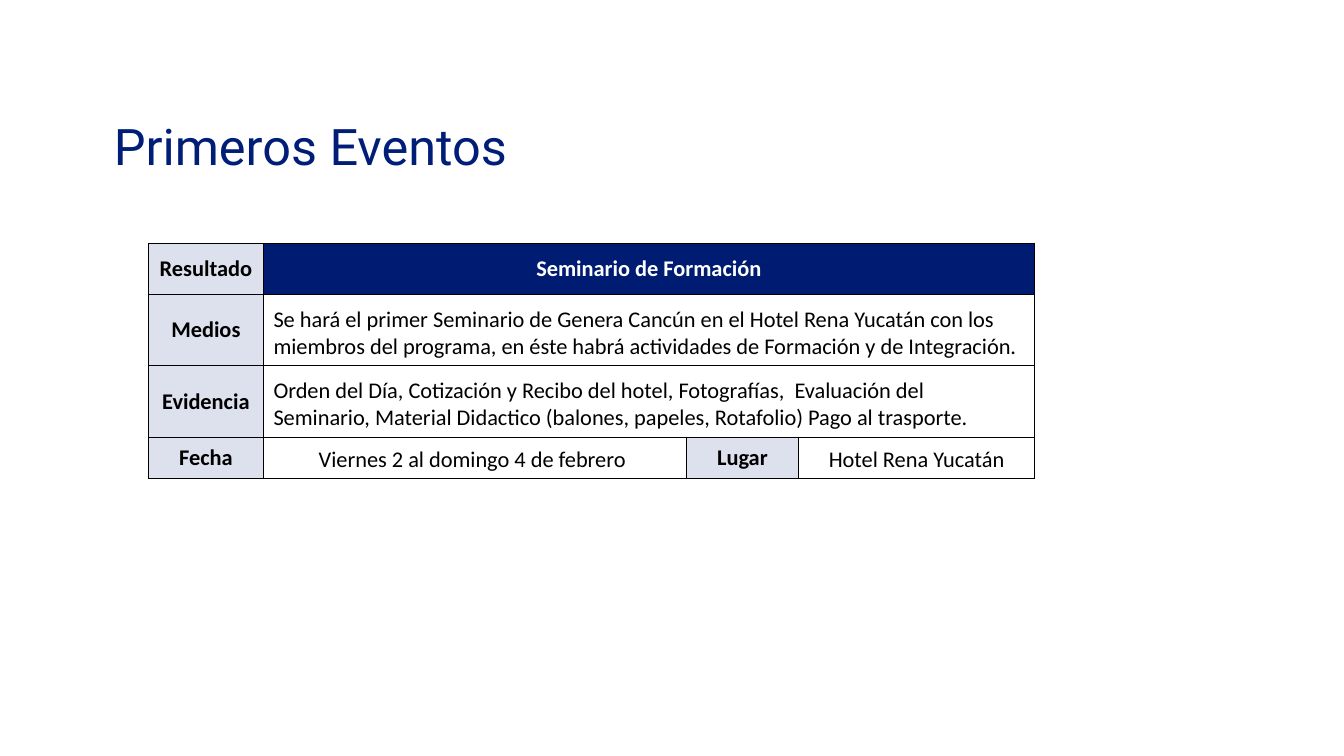
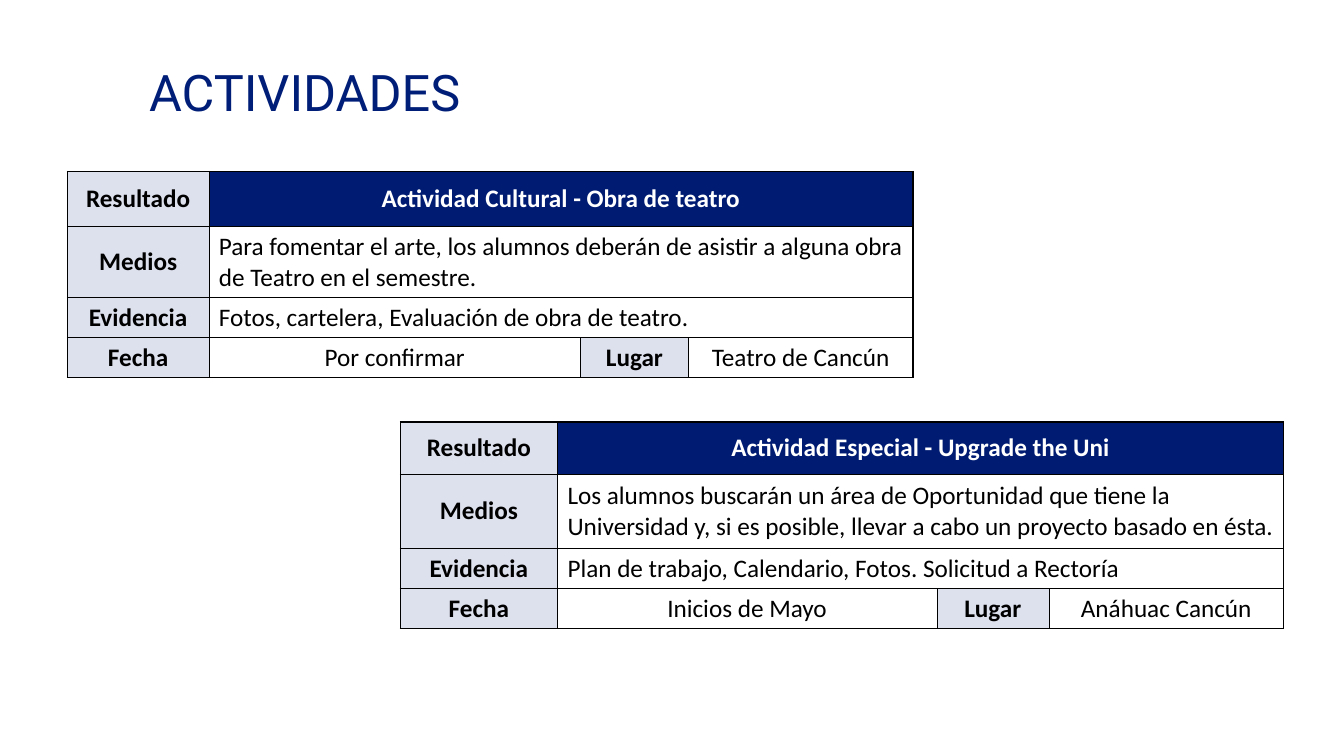
from lxml.etree import SubElement
from pptx import Presentation
from pptx.dml.color import RGBColor
from pptx.enum.text import MSO_ANCHOR as Anchor, PP_ALIGN as Align
from pptx.oxml.ns import qn
from pptx.util import Pt

TITLE_BLUE = RGBColor(0x00, 0x1E, 0x78)
HEADER_BLUE = RGBColor(0x00, 0x1C, 0x72)
LABEL_FILL = RGBColor(0xDD, 0xE0, 0xED)
WHITE = RGBColor(0xFF, 0xFF, 0xFF)
BLACK = RGBColor(0x00, 0x00, 0x00)
TITLE_FONT, TABLE_FONT = "Roboto", "Calibri"
OUTER, INNER = Pt(1), Pt(0.5)

# Content: each event is a card-like table
SLIDES = [
    dict(title="Primeros Eventos", title_box=(74.2, 78.5, 359.3, 51.1), events=[
        dict(resultado="Seminario de Formación",
             medios="Se hará el primer Seminario de Genera Cancún en el Hotel Rena Yucatán "
                    "con los miembros del programa, en éste habrá actividades de Formación "
                    "y de Integración.",
             evidencia="Orden del Día, Cotización y Recibo del hotel, Fotografías,  Evaluación "
                       "del Seminario, Material Didactico (balones, papeles, Rotafolio) "
                       "Pago al trasporte.",
             fecha="Viernes 2 al domingo 4 de febrero ", lugar="Hotel Rena Yucatán",
             at=(106, 173.7), cols=(82.2, 302, 80.4, 168.4),
             rows=(36.5, 51, 51, 29.5), size=16, anchor=Anchor.BOTTOM),
    ]),
    dict(title="ACTIVIDADES", title_box=(99.4, 40.3, 294.5, 51.1), events=[
        dict(resultado="Actividad Cultural - Obra de teatro",
             medios="Para fomentar el arte, los alumnos deberán de asistir a alguna obra "
                    "de Teatro en el semestre.",
             evidencia="Fotos, cartelera, Evaluación de obra de teatro.",
             fecha="Por confirmar", lugar="Teatro de Cancún",
             at=(48.2, 122.4), cols=(101, 265.5, 77, 160.5),
             rows=(39.4, 49, 25.2, 25.2), size=18, anchor=Anchor.MIDDLE),
        dict(resultado="Actividad Especial - Upgrade the Uni",
             medios="Los alumnos buscarán un área de Oportunidad que tiene la Universidad y, "
                    "si es posible, llevar a cabo un proyecto basado en ésta.",
             evidencia="Plan de trabajo, Calendario, Fotos. Solicitud a Rectoría",
             fecha="Inicios de Mayo", lugar="Anáhuac Cancún",
             at=(286, 301.5), cols=(112.2, 271, 80, 167.8),
             rows=(37.3, 52.7, 26.6, 26.6), size=18, anchor=Anchor.MIDDLE),
    ]),
]


def add_run(p, text, font, size, color, bold=False):
    r = p.add_run()
    r.text = text
    r.font.name, r.font.size, r.font.bold = font, Pt(size), bold
    r.font.color.rgb = color


def add_title(s, text, box):
    tf = s.shapes.add_textbox(*map(Pt, box)).text_frame
    tf.word_wrap = True
    add_run(tf.paragraphs[0], text, TITLE_FONT, 36, TITLE_BLUE)


def set_borders(cell, widths):
    tc_pr = cell._tc.get_or_add_tcPr()
    for side, width in zip("LRTB", widths):
        ln = SubElement(tc_pr, qn(f"a:ln{side}"), w=str(int(width)))
        SubElement(SubElement(ln, qn("a:solidFill")), qn("a:srgbClr"), val=str(BLACK))


def fill_cell(cell, text, size, fill, color=BLACK, bold=False,
              align=Align.CENTER, anchor=Anchor.MIDDLE):
    cell.fill.solid()
    cell.fill.fore_color.rgb = fill
    cell.vertical_anchor = anchor
    p = cell.text_frame.paragraphs[0]
    p.alignment = align
    add_run(p, text, TABLE_FONT, size, color, bold)


def add_event(s, event):
    cols, rows, size = event["cols"], event["rows"], event["size"]
    last_row, last_col = len(rows) - 1, len(cols) - 1
    frame = s.shapes.add_table(len(rows), len(cols), *map(Pt, event["at"]),
                               Pt(sum(cols)), Pt(sum(rows)))
    table = frame.table
    for col, width in zip(table.columns, cols):
        col.width = Pt(width)
    for row, height in zip(table.rows, rows):
        row.height = Pt(height)

    # Thin inner rules, heavier outer frame
    for i in range(len(rows)):
        for j in range(len(cols)):
            wide = j > 0 and i < last_row
            edges = (j == 0, j == last_col or wide, i == 0, i == last_row)
            set_borders(table.cell(i, j), [OUTER if edge else INNER for edge in edges])
        if i < last_row:
            table.cell(i, 1).merge(table.cell(i, last_col))

    # Label cells
    labels = [(0, 0, "Resultado"), (1, 0, "Medios"), (2, 0, "Evidencia"),
              (3, 0, "Fecha"), (3, 2, "Lugar")]
    for i, j, label in labels:
        fill_cell(table.cell(i, j), label, size, LABEL_FILL, bold=True)
        # Value beside each label
        value = event[label.lower()]
        if i == 0:
            fill_cell(table.cell(i, j + 1), value, size, HEADER_BLUE, WHITE, True)
        else:
            align = Align.CENTER if i == last_row else Align.LEFT
            fill_cell(table.cell(i, j + 1), value, size, WHITE,
                      align=align, anchor=event["anchor"])


def main():
    prs = Presentation()
    prs.slide_width, prs.slide_height = Pt(960), Pt(540)
    for content in SLIDES:
        s = prs.slides.add_slide(prs.slide_layouts[6])
        add_title(s, content["title"], content["title_box"])
        for event in content["events"]:
            add_event(s, event)
    prs.save("out.pptx")


if __name__ == "__main__":
    main()
